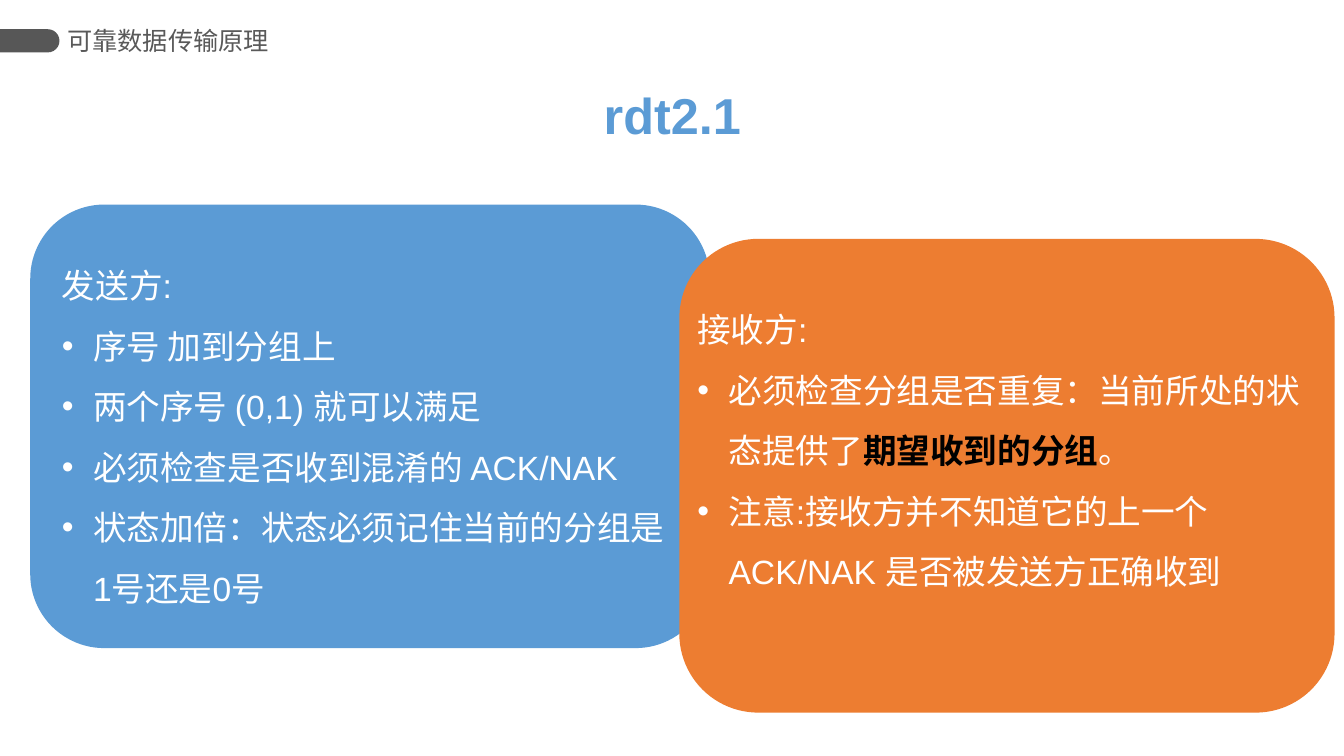
"""Build the rdt2.1 slide comparing sender and receiver duties."""
from dataclasses import dataclass

from lxml.etree import SubElement
from pptx import Presentation
from pptx.dml.color import RGBColor
from pptx.enum.shapes import MSO_SHAPE
from pptx.enum.text import MSO_ANCHOR, MSO_AUTO_SIZE, PP_ALIGN
from pptx.oxml.ns import qn
from pptx.util import Inches, Pt

WIDTH, HEIGHT = Inches(13.33), Inches(7.5)
COLUMNS, ROWS = 40, 30
BLUE, ORANGE, WHITE, BLACK = "5B9BD5", "ED7D31", "FFFFFF", "000000"
BAR_GREY, HEADER_GREY = "575757", "595959"
BULLET_INDENT = Inches(0.31)


@dataclass(frozen=True)
class Area:
    """A rectangle in grid columns and rows."""

    column: float
    row: float
    columns: float
    rows: float

    def box(self) -> tuple[int, int, int, int]:
        """Return left, top, width and height on the slide."""
        return (
            round(self.column * WIDTH / COLUMNS),
            round(self.row * HEIGHT / ROWS),
            round(self.columns * WIDTH / COLUMNS),
            round(self.rows * HEIGHT / ROWS),
        )


@dataclass(frozen=True)
class Run:
    """A stretch of text, emphasised or plain."""

    text: str
    strong: bool = False


@dataclass(frozen=True)
class Duties:
    """The heading and bullet points of one party."""

    heading: str
    points: tuple[tuple[Run, ...], ...]


SENDER = Duties("发送方:", (
    (Run("序号 加到分组上"),),
    (Run("两个序号 (0,1) 就可以满足"),),
    (Run("必须检查是否收到混淆的 ACK/NAK"),),
    (Run("状态加倍：状态必须记住当前的分组是1号还是0号"),),
))
RECEIVER = Duties("接收方:", (
    (Run("必须检查分组是否重复：当前所处的状态提供了"),
     Run("期望收到的分组", strong=True), Run("。")),
    (Run("注意:接收方并不知道它的上一个ACK/NAK 是否被发送方正确收到"),),
))


def rgb(value: str) -> RGBColor:
    """Turn a hex string into a colour."""
    return RGBColor.from_string(value)


def write(paragraph, text: str, *, size: float = 24, color: str = WHITE,
          bold: bool = False) -> None:
    """Append a formatted run to a paragraph."""
    run = paragraph.add_run()
    run.text = text
    run.font.name = "Arial"
    run.font.size = Pt(size)
    run.font.bold = bold
    run.font.color.rgb = rgb(color)


def add_bullet(paragraph) -> None:
    """Give a paragraph a hanging round bullet."""
    properties = paragraph._p.get_or_add_pPr()
    properties.set("marL", str(BULLET_INDENT))
    properties.set("indent", str(-BULLET_INDENT))
    SubElement(properties, qn("a:buFont"), typeface="Arial")
    SubElement(properties, qn("a:buChar"), char="•")


def write_duties(frame, duties: Duties) -> None:
    """Fill a text frame with a heading and its bullets."""
    frame.word_wrap = True
    heading = frame.paragraphs[0]
    write(heading, duties.heading)
    for point in duties.points:
        paragraph = frame.add_paragraph()
        add_bullet(paragraph)
        for run in point:
            write(paragraph, run.text, color=BLACK if run.strong else WHITE,
                  bold=run.strong)
    for paragraph in frame.paragraphs:
        paragraph.alignment = PP_ALIGN.LEFT
        paragraph.line_spacing = 1.5


def add_panel(slide, area: Area, fill: str,
              kind: MSO_SHAPE = MSO_SHAPE.ROUNDED_RECTANGLE):
    """Draw a flat filled shape without outline."""
    panel = slide.shapes.add_shape(kind, *area.box())
    panel.shadow.inherit = False
    panel.fill.solid()
    panel.fill.fore_color.rgb = rgb(fill)
    panel.line.fill.background()
    return panel


def add_header(slide) -> None:
    """Draw the chapter marker and the chapter name."""
    marker = add_panel(slide, Area(0.54, 0.44, 0.69, 2.36), BAR_GREY,
                       MSO_SHAPE.ROUND_2_SAME_RECTANGLE)
    marker.adjustments[0] = 0.5
    marker.rotation = 90
    chapter = slide.shapes.add_textbox(*Area(2, 0.76, 7, 1.68).box()).text_frame
    chapter.word_wrap = True
    chapter.vertical_anchor = MSO_ANCHOR.MIDDLE
    chapter.margin_left = chapter.margin_right = 0
    write(chapter.paragraphs[0], "可靠数据传输原理", size=18, color=HEADER_GREY)


def format_title(slide) -> None:
    """Place the protocol name in the title placeholder."""
    title = slide.shapes.title
    title.left, title.top, title.width, title.height = Area(17.64, 3.12, 4.74, 2.84).box()
    frame = title.text_frame
    frame.word_wrap = False
    frame.auto_size = MSO_AUTO_SIZE.NONE
    frame.vertical_anchor = MSO_ANCHOR.TOP
    frame.paragraphs[0].alignment = PP_ALIGN.CENTER
    write(frame.paragraphs[0], "rdt2.1", size=36, color=BLUE, bold=True)


def main() -> None:
    """Assemble and save the slide."""
    deck = Presentation()
    deck.slide_width, deck.slide_height = WIDTH, HEIGHT
    slide = deck.slides.add_slide(deck.slide_layouts[5])
    add_header(slide)
    format_title(slide)
    sender = add_panel(slide, Area(0.9, 8.12, 20.22, 17.6), BLUE)
    sender.text_frame.vertical_anchor = MSO_ANCHOR.MIDDLE
    write_duties(sender.text_frame, SENDER)
    add_panel(slide, Area(20.22, 9.48, 19.5, 18.8), ORANGE)
    receiver = slide.shapes.add_textbox(*Area(20.46, 11.28, 18.63, 12.52).box())
    write_duties(receiver.text_frame, RECEIVER)
    deck.save("out.pptx")


if __name__ == "__main__":
    main()
